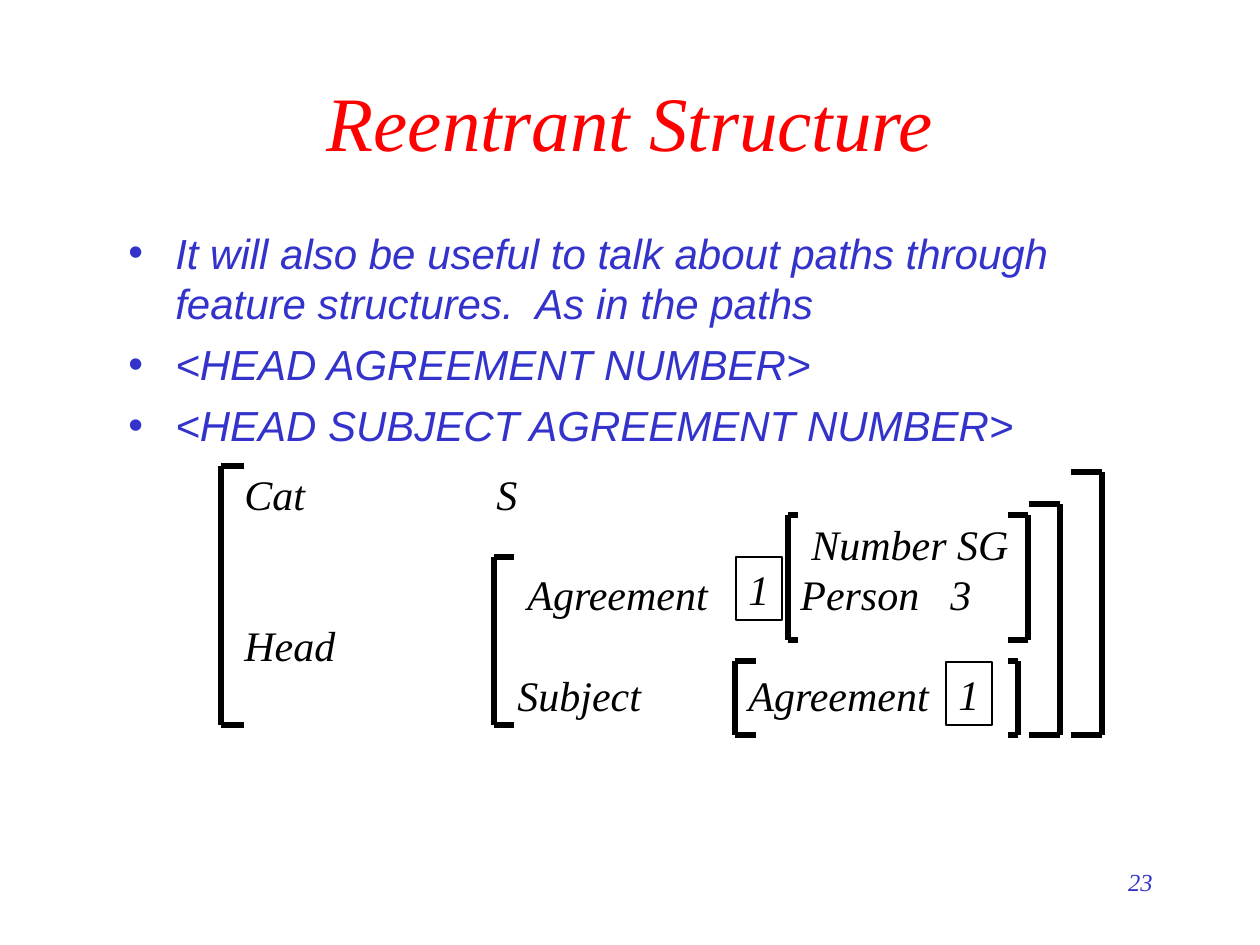
from lxml import etree
from pptx import Presentation
from pptx import util as u
from pptx.dml.color import RGBColor
from pptx.enum import shapes, text
from pptx.oxml import ns

RED = RGBColor(0xFF, 0x00, 0x00)
BLUE = RGBColor(0x33, 0x33, 0xCC)
BLACK = RGBColor(0x00, 0x00, 0x00)
SERIF, SANS = "Times New Roman", "Arial"
LEFT, MID, RIGHT = text.PP_ALIGN.LEFT, text.PP_ALIGN.CENTER, text.PP_ALIGN.RIGHT
LEAD = u.Pt(28.8)

POINTS = [
    "It will also be useful to talk about paths through feature structures.  As in the paths",
    "<HEAD AGREEMENT NUMBER>",
    "<HEAD SUBJECT AGREEMENT NUMBER>",
]
ROWS = [
    ("Cat\tS", [252]),
    ("\tNumber SG", [567]),
    ("\tAgreement\tPerson\t3", [283, 556, 706]),
    ("Head", []),
    ("\tSubject\tAgreement", [273, 504]),
]
BRACKETS = [
    (221, 244, 466, 725),
    (1102, 1071, 472, 735),
    (1060, 1029, 504, 735),
    (494, 514, 557, 725),
    (788, 798, 515, 640),
    (1028, 1008, 515, 640),
    (735, 756, 661, 735),
    (1018, 1008, 661, 735),
]
TAGS = [(736, 557), (946, 662)]


def px(n):
    """Turn pixels into EMU."""
    return u.Emu(round(n * 914400 / 126))


def put(obj, vals):
    """Set each attribute named in vals."""
    for name, val in vals.items():
        setattr(obj, name, val)


def node(para, tag, **vals):
    """Add an element to the paragraph properties."""
    return etree.SubElement(para._p.get_or_add_pPr(), ns.qn(tag), **vals)


def style(para, size, color, face=SERIF, align=LEFT):
    """Format a paragraph and its runs."""
    para.alignment = align
    for run in para.runs:
        put(run.font, {"size": u.Pt(size), "name": face, "italic": True})
        run.font.color.rgb = color


def box(slide, x, y, w, h, **vals):
    """Add a wrapping text box and return its frame."""
    frame = slide.shapes.add_textbox(*map(px, (x, y, w, h))).text_frame
    put(frame, {"word_wrap": True, **vals})
    return frame


def label(slide, area, words, size, color, align, **vals):
    """Add a one-paragraph text box."""
    para = box(slide, *area, **vals).paragraphs[0]
    para.add_run().text = words
    style(para, size, color, align=align)


def lines(frame, items):
    """Yield a paragraph with each item, reusing the first."""
    for i, item in enumerate(items):
        yield i, frame.paragraphs[0] if i == 0 else frame.add_paragraph(), item


def bullets(slide):
    """Add the bulleted list."""
    frame = box(slide, 116, 221, 1071, 640)
    for i, para, words in lines(frame, POINTS):
        para.line_spacing = LEAD
        if i:
            para.space_before = u.Pt(6)
        props = para._p.get_or_add_pPr()
        props.set("marL", str(px(47)))
        props.set("indent", str(-px(47)))
        node(para, "a:buFont", typeface=SANS)
        node(para, "a:buChar", char="•")
        para.add_run().text = words
        style(para, 24, BLUE, SANS)


def matrix(slide):
    """Add the feature names and values on tab stops."""
    frame = box(slide, 232, 462, 789, 265, margin_right=0)
    for _, para, (words, stops) in lines(frame, ROWS):
        para.line_spacing = LEAD
        if stops:
            tabs = node(para, "a:tabLst")
            for stop in stops:
                etree.SubElement(tabs, ns.qn("a:tab"), pos=str(px(stop)), algn="l")
        para.add_run().text = words
        style(para, 24, BLACK)


def line(slide, *ends):
    """Add a thick black line."""
    rule = slide.shapes.add_connector(shapes.MSO_CONNECTOR.STRAIGHT, *map(px, ends))
    rule.line.width = u.Pt(3)
    rule.line.color.rgb = BLACK
    etree.SubElement(rule._element.spPr, ns.qn("a:effectLst"))


def bracket(slide, x, tip, top, foot):
    """Draw a square bracket opening towards tip."""
    line(slide, x, top, x, foot)
    for y in (top, foot):
        line(slide, x, y, tip, y)


def tag(slide, x, y):
    """Add a boxed reentrancy index."""
    rect = slide.shapes.add_shape(shapes.MSO_SHAPE.RECTANGLE, *map(px, (x, y, 46, 63)))
    rect.shadow.inherit = False
    rect.fill.background()
    rect.line.color.rgb = BLACK
    rect.line.width = u.Pt(0.75)
    put(rect.text_frame, {"word_wrap": False, "vertical_anchor": text.MSO_ANCHOR.TOP})
    para = rect.text_frame.paragraphs[0]
    para.line_spacing = LEAD
    para.add_run().text = "1"
    style(para, 24, BLACK)


def main():
    """Build and save the slide."""
    deck = Presentation()
    put(deck, {"slide_width": px(1260), "slide_height": px(945)})
    slide = deck.slides.add_slide(deck.slide_layouts[6])
    label(slide, (903, 861, 262, 63), "23", 14, BLUE, RIGHT)
    label(slide, (95, 42, 1071, 158), "Reentrant Structure", 44, RED, MID,
          vertical_anchor=text.MSO_ANCHOR.MIDDLE)
    bullets(slide)
    matrix(slide)
    for sides in BRACKETS:
        bracket(slide, *sides)
    for spot in TAGS:
        tag(slide, *spot)
    deck.save("out.pptx")


if __name__ == "__main__":
    main()
